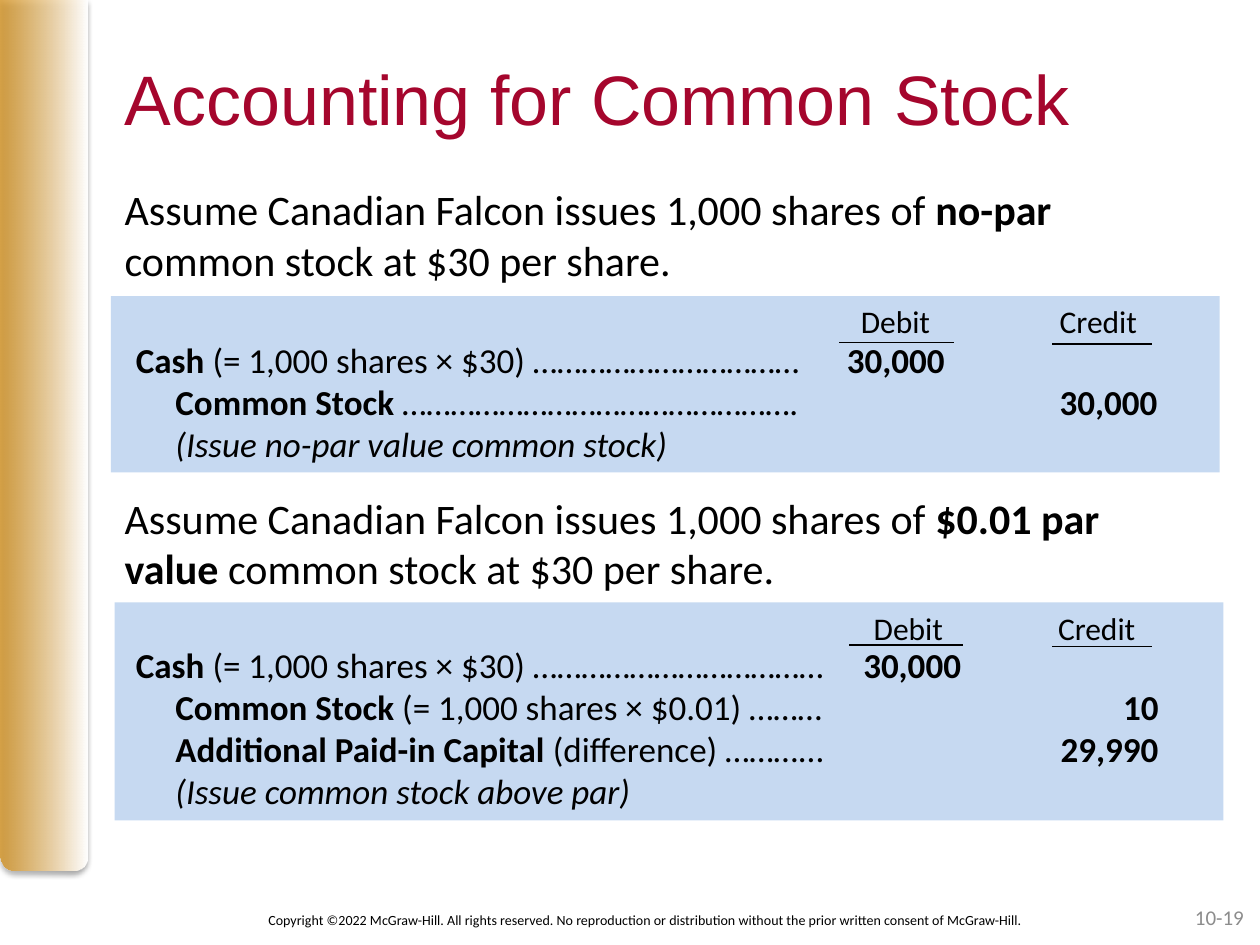
from typing import NamedTuple

from lxml.etree import SubElement as Sub
from pptx import Presentation
from pptx.dml.color import RGBColor
from pptx.enum.shapes import MSO_CONNECTOR as Link, MSO_SHAPE as Form
from pptx.enum.text import MSO_ANCHOR as Anchor, PP_ALIGN as Align
from pptx.oxml.ns import qn
from pptx.util import Pt

BLACK = RGBColor(0x00, 0x00, 0x00)
WHITE = RGBColor(0xFF, 0xFF, 0xFF)
GRAY = RGBColor(0x8C, 0x8C, 0x8C)
RED = RGBColor(0xA5, 0x06, 0x2D)
GOLD = RGBColor(0xD4, 0x93, 0x23)
BLUE = RGBColor(0xC6, 0xD9, 0xF1)

LEFT = 70.6
INDENT = 22.6


class Run(NamedTuple):
    text: str
    bold: bool = False
    slant: bool = False


class Tab(NamedTuple):
    pos: float
    align: str


class Box(NamedTuple):
    left: float
    top: float
    width: float
    height: float


class Rule(NamedTuple):
    start: float
    end: float
    top: float


class Entry(NamedTuple):
    panel: Box
    body: float
    heads: tuple[float, float]
    sums: tuple[float, float]
    rules: list[Rule]
    lines: list[list[Run]]


class Prompt(NamedTuple):
    top: float
    runs: list[Run]


ASSUME = Run("Assume Canadian Falcon issues 1,000 shares of ")
PROMPTS = [
    Prompt(101.5, [ASSUME, Run("no-par", True), Run(" common stock at $30 per share.")]),
    Prompt(277.9, [ASSUME, Run("$0.01 par value ", True), Run("common stock at $30 per share.")]),
]
ENTRIES = [
    Entry(
        Box(63.4, 169.2, 633.6, 100.8), 190.1, (434, 550), (462.2, 583.8),
        [Rule(479.5, 545, 195.7), Rule(601.2, 658.1, 196.6)],
        [
            [Run("Cash ", True), Run("(= 1,000 shares × $30) ……………………………"), Run("\t30,000", True)],
            [Run("\tCommon Stock ", True), Run("…………………………………………."), Run("\t\t30,000", True)],
            [Run("\t(Issue no-par value common stock)", slant=True)],
        ],
    ),
    Entry(
        Box(65.5, 344.2, 633.6, 124.6), 364.3, (441.4, 549), (471.6, 584.4),
        [Rule(485.3, 550.1, 368.6), Rule(601.2, 658.1, 369.4)],
        [
            [Run("Cash ", True), Run("(= 1,000 shares × $30) ………………………………"), Run("\t30,000", True)],
            [Run("\tCommon Stock ", True), Run("(= 1,000 shares × $0.01) ………"), Run("\t\t10", True)],
            [Run("\tAdditional Paid-in Capital ", True), Run("(difference) ………..."), Run("\t\t29,990", True)],
            [Run("\t(Issue common stock above par)", slant=True)],
        ],
    ),
]


def place(box: Box) -> list[Pt]:
    return [Pt(side) for side in box]


def write(slide, box: Box, lines: list[list[Run]], size: float, color=BLACK,
          align=Align.LEFT, anchor=Anchor.TOP, tabs: tuple[Tab, ...] = ()) -> None:
    frame = slide.shapes.add_textbox(*place(box)).text_frame
    frame.word_wrap = True
    frame.vertical_anchor = anchor
    for at, line in enumerate(lines):
        para = frame.add_paragraph() if at else frame.paragraphs[0]
        para.alignment = align
        if tabs:
            stops = Sub(para._p.get_or_add_pPr(), qn("a:tabLst"))
            for tab in tabs:
                Sub(stops, qn("a:tab"), pos=str(Pt(tab.pos)), algn=tab.align)
        for part in line:
            run = para.add_run()
            run.text = part.text
            font = run.font
            font.name, font.size = "Calibri", Pt(size)
            font.bold, font.italic = part.bold, part.slant
            font.color.rgb = color


def draw_rule(slide, rule: Rule) -> None:
    line = slide.shapes.add_connector(
        Link.STRAIGHT, Pt(rule.start), Pt(rule.top), Pt(rule.end), Pt(rule.top))
    line.line.color.rgb = BLACK
    line.line.width = Pt(1)
    Sub(line._element.spPr, qn("a:effectLst"))


def draw_entry(slide, entry: Entry) -> None:
    panel = slide.shapes.add_shape(Form.RECTANGLE, *place(entry.panel))
    panel.shadow.inherit = False
    panel.fill.solid()
    panel.fill.fore_color.rgb = BLUE
    panel.line.fill.background()
    heads = tuple(Tab(pos, "ctr") for pos in entry.heads)
    sums = (Tab(INDENT, "l"), *(Tab(pos, "r") for pos in entry.sums))
    write(slide, Box(LEFT, entry.panel.top, 632, 29), [[Run("\tDebit\tCredit")]], 18, tabs=heads)
    tall = entry.panel.top + entry.panel.height - entry.body
    write(slide, Box(LEFT, entry.body, 632, tall), entry.lines, 20, tabs=sums)
    for rule in entry.rules:
        draw_rule(slide, rule)


def draw_band(slide) -> None:
    band = slide.shapes.add_shape(Form.ROUND_2_SAME_RECTANGLE, *place(Box(0, 0, 49.7, 497.5)))
    band.shadow.inherit = False
    band.line.fill.background()
    band._element.spPr.find(qn("a:xfrm")).set("flipV", "1")
    band.fill.gradient()
    band.fill.gradient_angle = 0
    for stop, color, pos in zip(band.fill.gradient_stops, (GOLD, WHITE), (0, 1)):
        stop.color.rgb = color
        stop.position = pos
    first = band._element.spPr.find(".//" + qn("a:srgbClr"))
    Sub(first, qn("a:alpha"), val="80000")
    glow = band._element.spPr.find(qn("a:effectLst"))
    shade = Sub(glow, qn("a:outerShdw"), blurRad=str(Pt(3.1)), dist=str(Pt(1.8)),
                dir="5400000", rotWithShape="0")
    tint = Sub(shade, qn("a:srgbClr"), val=str(BLACK))
    Sub(tint, qn("a:alpha"), val="35000")


def set_title(slide) -> None:
    title = slide.shapes.title
    title.left, title.top, title.width, title.height = place(Box(64.1, 33.8, 648, 72))
    frame = title.text_frame
    frame.text = "Accounting for Common Stock"
    frame.word_wrap = True
    frame.vertical_anchor = Anchor.TOP
    para = frame.paragraphs[0]
    para.alignment = Align.LEFT
    para.line_spacing = 0.9
    font = para.runs[0].font
    font.name, font.size = "Arial", Pt(40)
    font.color.rgb = RED


def main() -> None:
    deck = Presentation()
    deck.slide_width, deck.slide_height = Pt(720), Pt(540)
    slide = deck.slides.add_slide(deck.slide_layouts[5])
    draw_band(slide)
    set_title(slide)
    notice = ("Copyright ©2022 McGraw-Hill. All rights reserved. No reproduction or "
              "distribution without the prior written consent of McGraw-Hill.")
    write(slide, Box(111.6, 511.2, 514.8, 28.8), [[Run(notice)]], 8,
          align=Align.CENTER, anchor=Anchor.MIDDLE)
    write(slide, Box(550.1, 509.8, 167.8, 28.8), [[Run("10-19")]], 12, GRAY,
          Align.RIGHT, Anchor.MIDDLE)
    for entry in ENTRIES:
        draw_entry(slide, entry)
    for prompt in PROMPTS:
        write(slide, Box(64.1, prompt.top, 605, 65.5), [prompt.runs], 24)
    deck.save("out.pptx")


if __name__ == "__main__":
    main()
